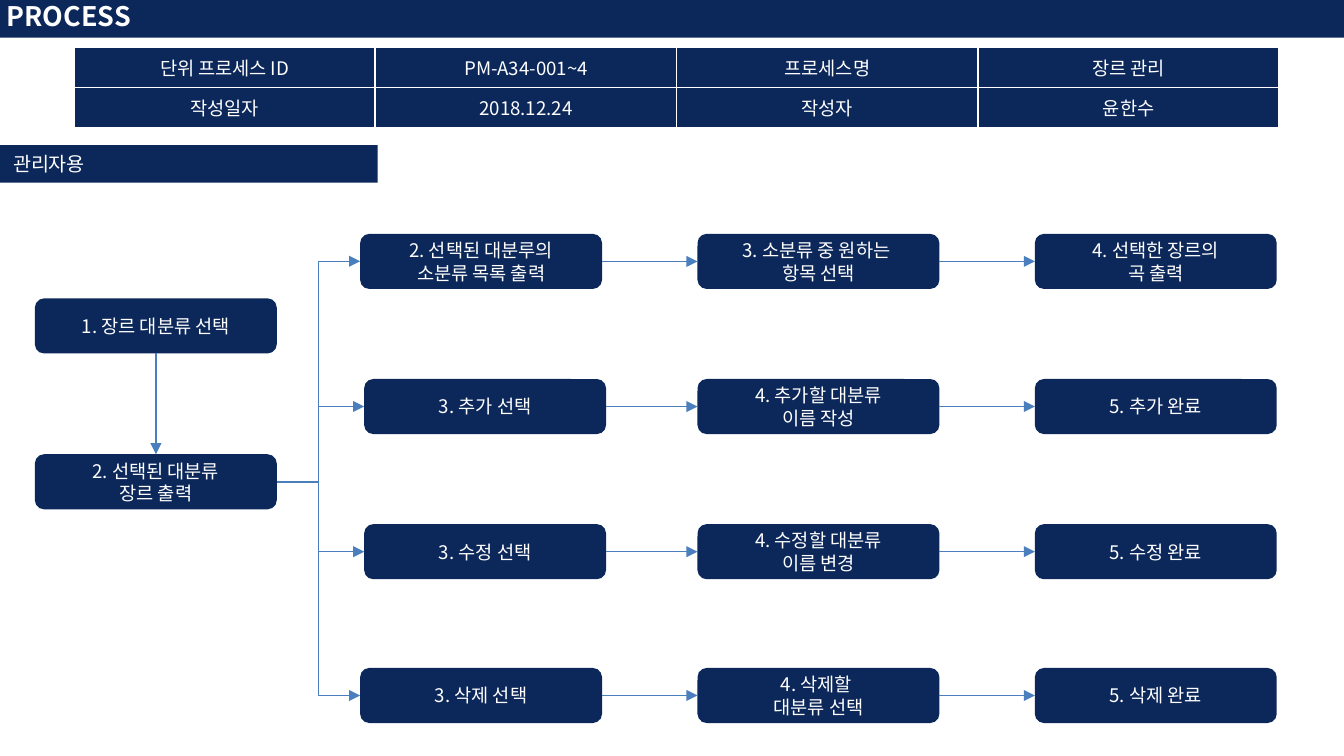
"""Build the genre management process slide."""
from lxml.etree import SubElement
from pptx import Presentation
from pptx.dml.color import RGBColor
from pptx.enum.shapes import MSO_CONNECTOR, MSO_SHAPE
from pptx.enum.text import MSO_ANCHOR, MSO_AUTO_SIZE, PP_ALIGN
from pptx.oxml.ns import qn
from pptx.util import Inches, Pt

FONT = "Noto Sans CJK KR"
NAVY, BLUE, WHITE = "0C2759", "4B7EBC", "FFFFFF"
TITLE = "PROCESS"
SECTION = "관리자용"
INFO = [
    ["단위 프로세스 ID", "PM-A34-001~4", "프로세스명", "장르 관리"],
    ["작성일자", "2018.12.24", "작성자", "윤한수"],
]
STARTS = [("1. 장르 대분류 선택", 2.22), ("2. 선택된 대분류\n장르 출력", 3.38)]
FLOWS = [
    (2.68, 1.74, ["2. 선택된 대분루의\v소분류 목록 출력",
                  "3. 소분류 중 원하는 \v항목 선택", "4. 선택한 장르의\n곡 출력"]),
    (2.71, 2.82, ["3. 추가 선택", "4. 추가할 대분류\n이름 작성", "5. 추가 완료"]),
    (2.71, 3.9, ["3. 수정 선택", "4. 수정할 대분류\n이름 변경", "5. 수정 완료"]),
    (2.68, 4.97, ["3. 삭제 선택", "4. 삭제할 \n대분류 선택", "5. 삭제 완료"]),
]
LEFT, WIDE, HIGH = 0.26, 1.8, 0.41
COLS = [5.19, 7.7]
TRUNK = 2.37
TOP, RIGHT, BOTTOM, SIDE = 0, 3, 2, 1


def color(code):
    return RGBColor.from_string(code)


def paint(shape):
    shape.fill.solid()
    shape.fill.fore_color.rgb = color(NAVY)


def write(frame, text, size=10, align=PP_ALIGN.CENTER, bold=False):
    frame.text = text
    for para in frame.paragraphs:
        para.alignment = align
        for run in para.runs:
            font = run.font
            font.size, font.bold, font.name = Pt(size), bold, FONT
            font.color.rgb = color(WHITE)
            SubElement(run._r.get_or_add_rPr(), qn("a:ea"), typeface=FONT)


def block(kind, x, y, w, h):
    shape = slide.shapes.add_shape(kind, Inches(x), Inches(y), Inches(w), Inches(h))
    shape.shadow.inherit = False
    shape.line.fill.background()
    paint(shape)
    return shape


def step(text, x, y):
    box = block(MSO_SHAPE.ROUNDED_RECTANGLE, x, y, WIDE, HIGH)
    box.text_frame.word_wrap = True
    box.text_frame.vertical_anchor = MSO_ANCHOR.MIDDLE
    write(box.text_frame, text)
    return box


def arrow(end, site, start=None, port=RIGHT, kind=MSO_CONNECTOR.STRAIGHT):
    y = end.top + end.height // 2
    link = slide.shapes.add_connector(kind, Inches(TRUNK), y, end.left, y)
    if start is not None:
        link.begin_connect(start, port)
    link.end_connect(end, site)
    link.line.color.rgb = color(BLUE)
    link.line.width = Pt(0.75)
    SubElement(link.line._get_or_add_ln(), qn("a:tailEnd"), type="triangle")
    SubElement(link._element.spPr, qn("a:effectLst"))


def border(cell):
    props = cell._tc.get_or_add_tcPr()
    for i, side in enumerate(["lnL", "lnR", "lnT", "lnB"]):
        line = SubElement(props, qn("a:" + side), w=str(Pt(1)))
        fill = SubElement(line, qn("a:solidFill"))
        SubElement(fill, qn("a:srgbClr"), val=WHITE)
        props.insert(i, line)


deck = Presentation()
deck.slide_width, deck.slide_height = Inches(10), Inches(10) * 9 // 16
slide = deck.slides.add_slide(deck.slide_layouts[5])

title = slide.shapes.title
title.left, title.top = Inches(-0.04), Inches(-0.04)
title.width, title.height = Inches(10.04), Inches(0.32)
paint(title)
frame = title.text_frame
frame.auto_size = MSO_AUTO_SIZE.NONE
frame.vertical_anchor = MSO_ANCHOR.MIDDLE
frame.margin_left = frame.margin_right = Inches(0.09)
frame.margin_top = frame.margin_bottom = Inches(0.04)
write(frame, TITLE, 14.4, PP_ALIGN.LEFT, True)

table = slide.shapes.add_table(2, 4, Inches(0.55), Inches(0.35),
                               Inches(8.97), Inches(0.56)).table
table.first_row = table.horz_banding = False
for r, row in enumerate(INFO):
    for c, text in enumerate(row):
        cell = table.cell(r, c)
        paint(cell)
        border(cell)
        cell.vertical_anchor = MSO_ANCHOR.MIDDLE
        write(cell.text_frame, text)

label = block(MSO_SHAPE.RECTANGLE, 0, 1.08, 2.81, 0.28)
label.text_frame.vertical_anchor = MSO_ANCHOR.TOP
write(label.text_frame, SECTION, 10.5, PP_ALIGN.LEFT)

first, root = [step(text, LEFT, y) for text, y in STARTS]
arrow(root, TOP, first, BOTTOM)
for i, (x, y, texts) in enumerate(FLOWS):
    boxes = [step(text, left, y) for text, left in zip(texts, [x] + COLS)]
    if i in (0, len(FLOWS) - 1):
        arrow(boxes[0], SIDE, root, RIGHT, MSO_CONNECTOR.ELBOW)
    else:
        arrow(boxes[0], SIDE)
    for start, end in zip(boxes, boxes[1:]):
        arrow(end, SIDE, start)

deck.save("out.pptx")
